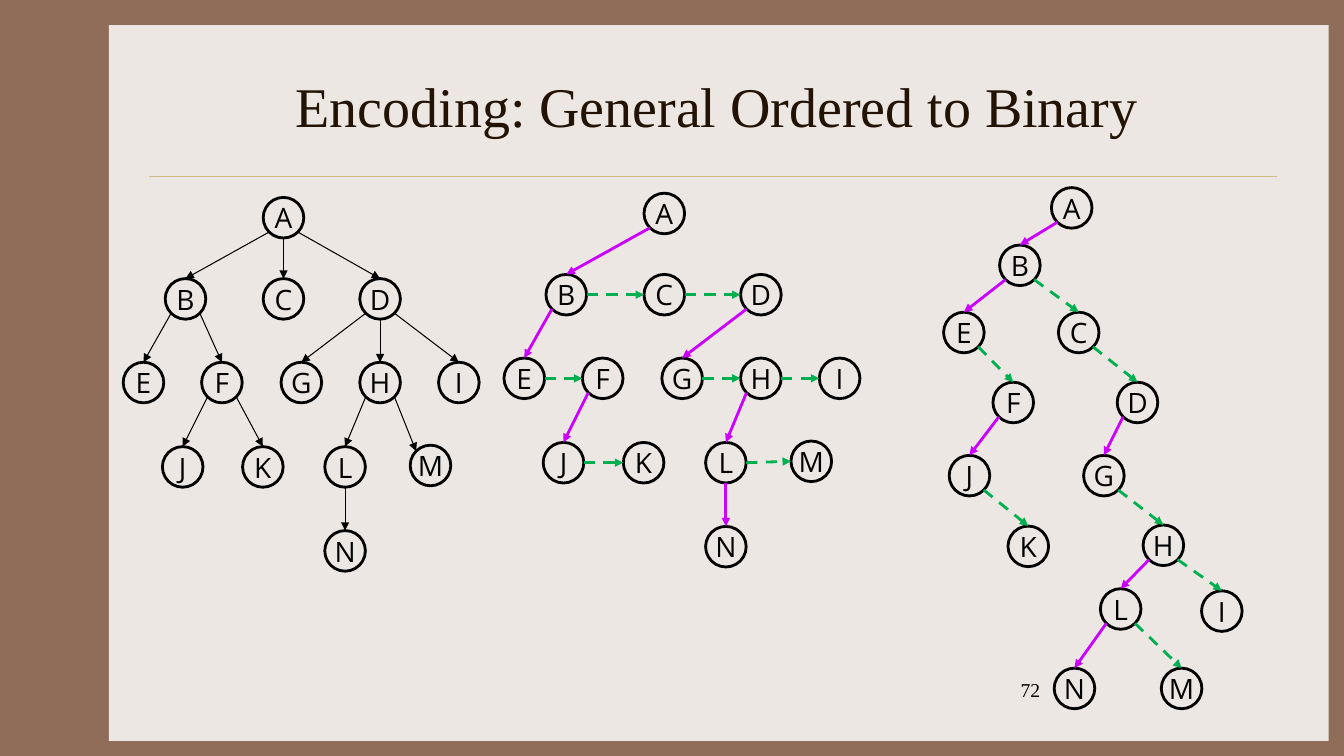
"""Build a slide that encodes a general ordered tree as a binary tree."""
import itertools
import math

import lxml.etree
import pptx
import pptx.dml.color
import pptx.enum.dml
import pptx.enum.shapes
import pptx.enum.text
import pptx.oxml.ns
import pptx.util

COLORS = {
    "frame": "906D58",
    "paper": "EDE7E3",
    "divider": "CBBD83",
    "title": "221304",
    "ink": "000000",
    "first_child": "CC00FF",
    "sibling": "00B050",
}
SERIF = "Times New Roman"
SANS = "Open Sans"
DIAMETER = 29
SAME_ROW = 5

CHILDREN = {"A": "BCD", "B": "EF", "D": "GHI", "F": "JK", "H": "LM", "L": "N"}

GENERAL_TREE = {
    "A": (188, 141),
    "B": (118, 199), "C": (188, 199), "D": (257, 199),
    "E": (88, 258.75), "F": (144, 258.75), "G": (200.75, 258.75),
    "H": (257, 258.75), "I": (313.25, 258.75),
    "J": (116, 319), "K": (173.25, 319), "L": (232, 319), "M": (293, 318),
    "N": (232, 379),
}
LINKED_TREE = {label: (left + 272, top - 3) for label, (left, top) in GENERAL_TREE.items()}
BINARY_TREE = {
    "A": (751, 134), "B": (714, 175),
    "E": (674, 223), "C": (756, 223),
    "F": (709.25, 273), "D": (798, 273),
    "J": (678, 325.25), "G": (774, 325.25),
    "K": (720, 375.75), "H": (816.5, 375),
    "L": (786, 420.5), "I": (858.25, 422),
    "N": (753, 477.25), "M": (829.5, 477.25),
}
PORT_ANGLES = {"E": 0, "SE": 45, "S": 90, "SW": 135, "W": 180, "NW": 225, "N": 270}


def rgb(name):
    """Return the named colour."""
    return pptx.dml.color.RGBColor.from_string(COLORS[name])


def points(*lengths):
    """Convert numbers to point lengths."""
    return [pptx.util.Pt(length) for length in lengths]


def write(frame, text, font, size, color, align):
    """Write one styled run into a text frame."""
    paragraph = frame.paragraphs[0]
    paragraph.alignment = align
    run = paragraph.add_run()
    run.text = text
    run.font.name = font
    run.font.size = pptx.util.Pt(size)
    run.font.color.rgb = rgb(color)


def add_label(slide, box, text, size, color, align, anchor):
    """Add a serif text box."""
    frame = slide.shapes.add_textbox(*points(*box)).text_frame
    frame.word_wrap = True
    frame.vertical_anchor = anchor
    write(frame, text, SERIF, size, color, align)


def add_paper(slide):
    """Add the light panel that carries the content."""
    paper = slide.shapes.add_shape(
        pptx.enum.shapes.MSO_SHAPE.RECTANGLE, *points(77.75, 18, 871.25, 511.25))
    paper.shadow.inherit = False
    paper.fill.solid()
    paper.fill.fore_color.rgb = rgb("paper")
    paper.line.fill.background()


def add_node(slide, label, position):
    """Add a circled letter."""
    node = slide.shapes.add_shape(
        pptx.enum.shapes.MSO_SHAPE.OVAL, *points(*position, DIAMETER, DIAMETER))
    node.shadow.inherit = False
    node.fill.background()
    node.line.color.rgb = rgb("ink")
    node.line.width = pptx.util.Pt(2)
    frame = node.text_frame
    frame.word_wrap = False
    frame.vertical_anchor = pptx.enum.text.MSO_ANCHOR.MIDDLE
    frame.margin_left = frame.margin_right = frame.margin_top = frame.margin_bottom = 0
    write(frame, label, SANS, 20, "ink", pptx.enum.text.PP_ALIGN.CENTER)


def add_line(slide, start, end, color, width, dashed=False, arrow=False):
    """Add a straight line, optionally dashed or with an arrowhead."""
    line = slide.shapes.add_connector(
        pptx.enum.shapes.MSO_CONNECTOR.STRAIGHT, *points(*start, *end))
    line.line.color.rgb = rgb(color)
    line.line.width = pptx.util.Pt(width)
    if dashed:
        line.line.dash_style = pptx.enum.dml.MSO_LINE.DASH
    properties = line._element.spPr
    if arrow:
        outline = properties.find(pptx.oxml.ns.qn("a:ln"))
        lxml.etree.SubElement(outline, pptx.oxml.ns.qn("a:tailEnd"), type="triangle")
    lxml.etree.SubElement(properties, pptx.oxml.ns.qn("a:effectLst"))


def port(position, side):
    """Return the point on a node's rim at a compass side."""
    radius = DIAMETER / 2
    angle = math.radians(PORT_ANGLES[side])
    return (round(position[0] + radius * (1 + math.cos(angle)), 2),
            round(position[1] + radius * (1 + math.sin(angle)), 2))


def add_edge(slide, source, target, color, width, dashed=False, entry="N"):
    """Add an arrow between two nodes, leaving on the side that faces the target."""
    if abs(source[1] - target[1]) < SAME_ROW:
        leave, entry = "E", "W"
    elif source[0] == target[0]:
        leave = "S"
    else:
        leave = "SW" if target[0] < source[0] else "SE"
    add_line(slide, port(source, leave), port(target, entry), color, width, dashed, arrow=True)


def add_nodes(slide, tree):
    """Add every node of a tree."""
    for label, position in tree.items():
        add_node(slide, label, position)


def add_general_tree(slide, tree):
    """Add a tree whose parents point to all their children."""
    add_nodes(slide, tree)
    for parent, children in CHILDREN.items():
        for child in children:
            entry = "NW" if child == "M" else "N"
            add_edge(slide, tree[parent], tree[child], "ink", 0.75, entry=entry)


def add_encoded_tree(slide, tree):
    """Add a tree with first-child and next-sibling arrows."""
    add_nodes(slide, tree)
    for parent, children in CHILDREN.items():
        add_edge(slide, tree[parent], tree[children[0]], "first_child", 2)
        for child, sibling in itertools.pairwise(children):
            add_edge(slide, tree[child], tree[sibling], "sibling", 2, dashed=True)


def main():
    """Build and save the slide."""
    deck = pptx.Presentation()
    deck.slide_width, deck.slide_height = points(960, 540)
    slide = deck.slides.add_slide(deck.slide_layouts[6])
    slide.background.fill.solid()
    slide.background.fill.fore_color.rgb = rgb("frame")
    add_paper(slide)
    add_line(slide, (106.5, 126), (912.25, 126), "divider", 0.25)
    add_label(slide, (722, 481, 200, 36), "72", 14, "ink",
              pptx.enum.text.PP_ALIGN.LEFT, pptx.enum.text.MSO_ANCHOR.TOP)
    add_label(slide, (112, 30, 800, 90), "Encoding: General Ordered to Binary", 40, "title",
              pptx.enum.text.PP_ALIGN.CENTER, pptx.enum.text.MSO_ANCHOR.MIDDLE)
    add_general_tree(slide, GENERAL_TREE)
    add_encoded_tree(slide, LINKED_TREE)
    add_encoded_tree(slide, BINARY_TREE)
    deck.save("out.pptx")


if __name__ == "__main__":
    main()
